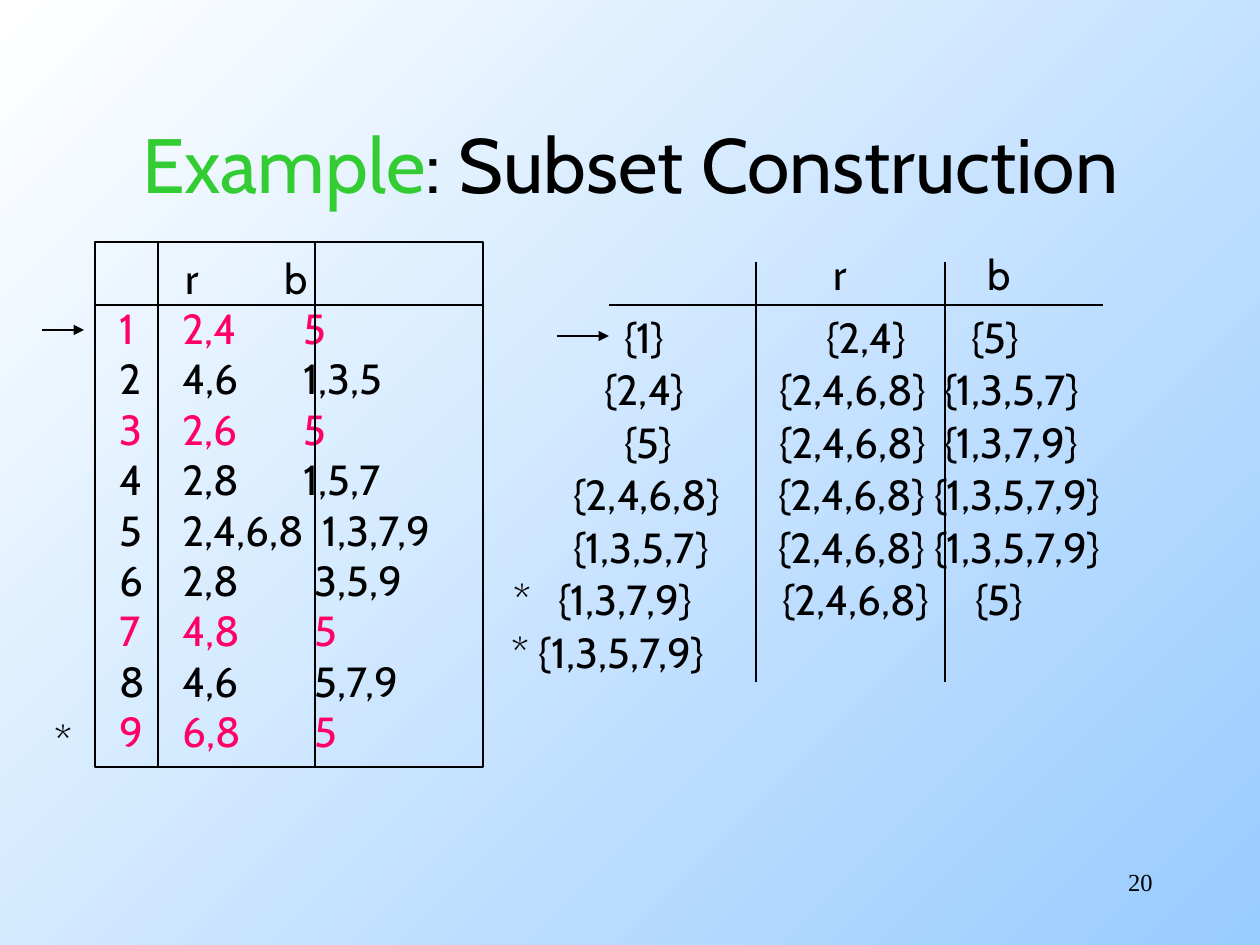
import dataclasses

import lxml.etree
import pptx
import pptx.dml.color
import pptx.enum.shapes
import pptx.enum.text
import pptx.oxml.ns
import pptx.util

PX = 914400 // 126


@dataclasses.dataclass(frozen=True)
class Theme:
    ink: str = "000000"
    green: str = "33CC33"
    pink: str = "FF0066"
    sky: tuple = ("FFFFFF", "99CCFF")
    font: str = "Cabin"
    number_font: str = "Times New Roman"
    title_size: int = 44
    body_size: int = 24
    number_size: int = 14
    rule: float = 0.75


THEME = Theme()
ALIGN = pptx.enum.text.PP_ALIGN
ANCHOR = pptx.enum.text.MSO_ANCHOR


def px(*lengths):
    return [length * PX for length in lengths]


def rgb(color):
    return pptx.dml.color.RGBColor.from_string(color)


def assign(target, values):
    for name, value in values.items():
        setattr(target, name, value)


def add_child(parent, tag, **attributes):
    return lxml.etree.SubElement(parent, pptx.oxml.ns.qn(tag), attributes)


def add_frame(shapes, box, anchor=ANCHOR.TOP):
    frame = shapes.add_textbox(*px(*box)).text_frame
    assign(frame, {"word_wrap": True, "vertical_anchor": anchor})
    return frame


def add_run(paragraph, text, color=THEME.ink, size=THEME.body_size, font=THEME.font):
    run = paragraph.add_run()
    run.text = text
    assign(run.font, {"size": pptx.util.Pt(size), "name": font})
    run.font.color.rgb = rgb(color)


def indent(paragraph, left, first=0):
    properties = paragraph._p.get_or_add_pPr()
    properties.set("marL", str(left * PX))
    properties.set("indent", str(first * PX))
    return properties


def add_label(shapes, box, text, tab=None):
    paragraph = add_frame(shapes, box).paragraphs[0]
    if tab:
        stops = add_child(paragraph._p.get_or_add_pPr(), "a:tabLst")
        add_child(stops, "a:tab", pos=str(tab * PX), algn="l")
    add_run(paragraph, text)


def add_rule(shapes, start, end, arrow=False):
    rule = shapes.add_connector(
        pptx.enum.shapes.MSO_CONNECTOR.STRAIGHT, *px(*start, *end)
    )
    rule.line.color.rgb = rgb(THEME.ink)
    rule.line.width = pptx.util.Pt(THEME.rule)
    if arrow:
        add_child(rule.line._get_or_add_ln(), "a:tailEnd", type="triangle")
    add_child(rule._element.spPr, "a:effectLst")


def paint_background(slide):
    fill = slide.background.fill
    fill.gradient()
    fill.gradient_angle = 315
    for stop, color in zip(fill.gradient_stops, THEME.sky):
        stop.color.rgb = rgb(color)


def add_title(shapes, box):
    heading = add_frame(shapes, box, ANCHOR.MIDDLE).paragraphs[0]
    heading.alignment = ALIGN.CENTER
    add_run(heading, "Example", THEME.green, THEME.title_size)
    add_run(heading, ": Subset Construction", size=THEME.title_size)


def add_page_number(shapes, box):
    number = add_frame(shapes, box).paragraphs[0]
    number.alignment = ALIGN.RIGHT
    add_run(number, "20", size=THEME.number_size, font=THEME.number_font)


def add_nfa_table(shapes, box):
    left, top, width, height = box
    moves = [
        ("2,4", "5", 19), ("4,6", "1,3,5", 19), ("2,6", "5", 19),
        ("2,8", "1,5,7", 19), ("2,4,6,8", "1,3,7,9", 38), ("2,8", "3,5,9", 30),
        ("4,8", "5", 30), ("4,6", "5,7,9", 30), ("6,8", "5", 30),
    ]
    red_column = add_frame(shapes, (left + 12, top + 4, 215, height - 8))
    black_column = add_frame(shapes, (left + 177, top + 4, 205, height - 8))
    red_header = red_column.paragraphs[0]
    indent(red_header, 66)
    add_run(red_header, "r")
    add_run(black_column.paragraphs[0], "b")
    for on_red, on_black, offset in moves:
        color = THEME.pink if on_black == "5" else THEME.ink
        state = red_column.add_paragraph()
        numbering = indent(state, 63, -63)
        add_child(add_child(numbering, "a:buClr"), "a:srgbClr", val=color)
        add_child(numbering, "a:buAutoNum", type="arabicPlain")
        add_run(state, on_red, color)
        target = black_column.add_paragraph()
        indent(target, offset)
        add_run(target, on_black, color)

    border = shapes.add_shape(pptx.enum.shapes.MSO_SHAPE.RECTANGLE, *px(*box))
    border.shadow.inherit = False
    border.fill.background()
    border.line.color.rgb = rgb(THEME.ink)
    border.line.width = pptx.util.Pt(THEME.rule)
    for x in (left + 63, left + 220):
        add_rule(shapes, (x, top), (x, top + height))
    add_rule(shapes, (left, top + 63), (left + width, top + 63))
    add_rule(shapes, (left - 53, top + 88), (left - 11, top + 88), arrow=True)
    add_label(shapes, (left - 53, top + 466, 48, 63), "*")


def add_dfa_table(shapes, box):
    left, top, width, height = box
    header_line = top + 43
    subsets = [
        (3, "{1}", None, 205, "{2,4}\t{5}", 145),
        (-17, "{2,4}", None, 158, "{2,4,6,8}\t{1,3,5,7}", 165),
        (3, "{5}", None, 158, "{2,4,6,8}\t{1,3,7,9}", 165),
        (-48, "{2,4,6,8}", None, 157, "{2,4,6,8} {1,3,5,7,9}", None),
        (-48, "{1,3,5,7}", None, 157, "{2,4,6,8} {1,3,5,7,9}", None),
        (-108, "*\t{1,3,7,9}", 45, 161, "{2,4,6,8}\t{5}", 193),
        (-110, "* {1,3,5,7,9}", None, None, None, None),
    ]
    add_label(shapes, (left + 212, top - 20, 209, 63), "r\tb", 154)
    add_rule(shapes, (left, header_line), (left + width, header_line))
    for x in (left + 147, left + 336):
        add_rule(shapes, (x, top), (x, top + height))
    for row, (state_x, state, state_tab, move_x, move, move_tab) in enumerate(subsets):
        y = header_line + row * 105 // 2
        add_label(shapes, (left + state_x, y, 256, 63), state, state_tab)
        if move:
            add_label(shapes, (left + move_x, y, 394, 63), move, move_tab)
    add_rule(shapes, (left - 52, top + 74), (left, top + 74), arrow=True)


def main():
    deck = pptx.Presentation()
    assign(deck, {"slide_width": 1260 * PX, "slide_height": 945 * PX})
    slide = deck.slides.add_slide(deck.slide_layouts[6])
    paint_background(slide)
    add_page_number(slide.shapes, (903, 861, 262, 63))
    add_title(slide.shapes, (95, 84, 1071, 158))
    add_nfa_table(slide.shapes.add_group_shape().shapes, (95, 242, 388, 525))
    add_dfa_table(slide.shapes, (609, 262, 494, 420))
    deck.save("out.pptx")


if __name__ == "__main__":
    main()
